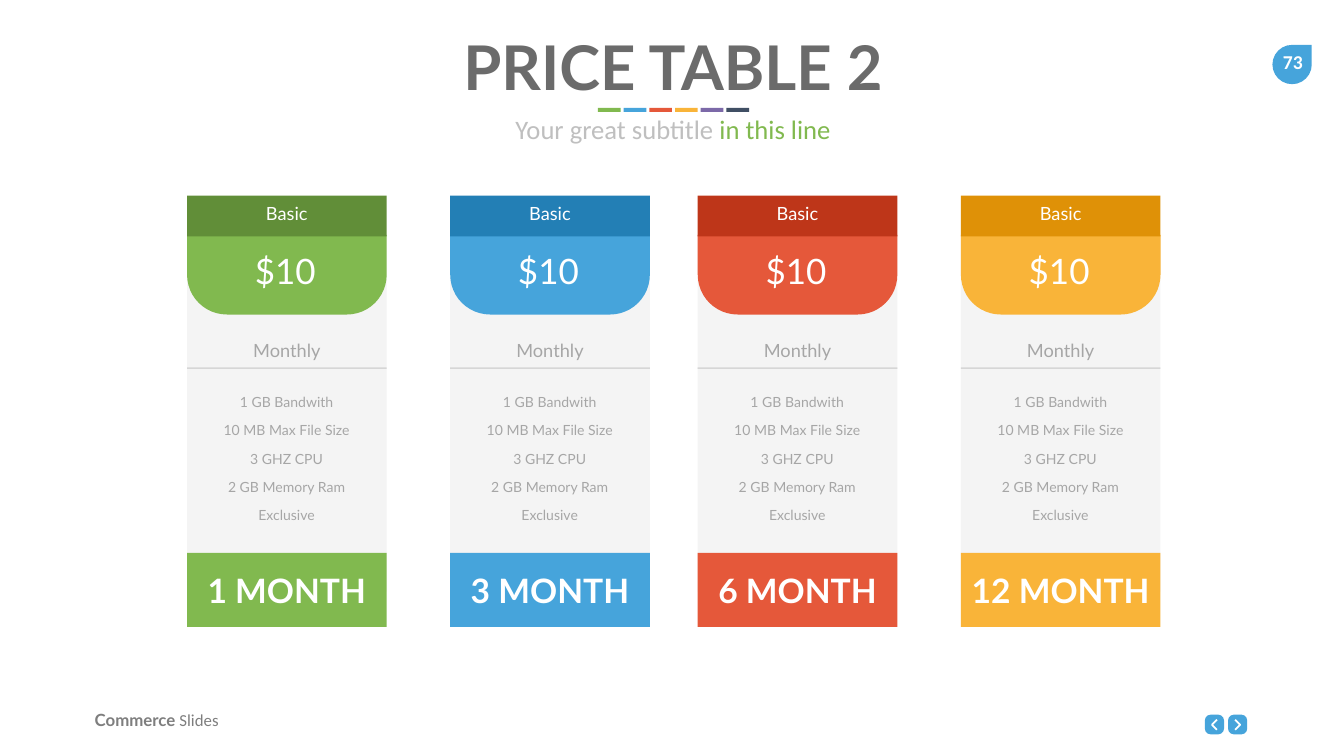
import pptx
import pptx.util
import pptx.dml.color
import pptx.enum.shapes
import pptx.enum.text
from dataclasses import dataclass

Inches = pptx.util.Inches
SHAPE = pptx.enum.shapes.MSO_SHAPE
ALIGN = pptx.enum.text.PP_ALIGN
ANCHOR = pptx.enum.text.MSO_ANCHOR


@dataclass(frozen=True)
class Theme:
    heading: str = "Lato"
    body: str = "Calibri"
    white: str = "FFFFFF"
    green: str = "81B94F"
    blue: str = "46A4DB"
    red: str = "E5583A"
    amber: str = "F9B439"
    purple: str = "7C69A8"
    navy: str = "404F64"
    dark_green: str = "618E38"
    dark_blue: str = "237FB5"
    dark_red: str = "BE3619"
    dark_amber: str = "DF9107"
    card: str = "F4F4F4"
    rule: str = "D6D6D6"
    title: str = "6B6B6B"
    subtitle: str = "BFBFBF"
    detail: str = "A6A6A6"
    footer: str = "7E7E7E"
    title_size: int = 88
    price_size: int = 50
    term_size: int = 48
    subtitle_size: int = 38
    page_size: int = 28
    label_size: int = 26
    footer_size: int = 24
    feature_size: int = 20


theme = Theme()
rgb = pptx.dml.color.RGBColor.from_string

deck = pptx.Presentation()
deck.slide_width, deck.slide_height = Inches(26.66), Inches(15)
slide = deck.slides.add_slide(deck.slide_layouts[5])  # title only


def add_block(kind, left, top, width, height, color):
    """Add a preset shape with a plain fill, no outline and no shadow."""
    block = slide.shapes.add_shape(
        kind, Inches(left), Inches(top), Inches(width), Inches(height))
    block.shadow.inherit = False
    block.fill.solid()
    block.fill.fore_color.rgb = rgb(color)
    block.line.fill.background()
    return block


def write(holder, text, size, color, font=theme.heading, bold=False,
          align=ALIGN.CENTER, anchor=ANCHOR.MIDDLE, inset=0.05):
    """Put one formatted paragraph into a shape; inset is left and right."""
    frame = holder.text_frame
    frame.word_wrap = True
    frame.vertical_anchor = anchor
    frame.margin_left = frame.margin_right = Inches(inset)
    frame.margin_top = frame.margin_bottom = Inches(0.05)
    paragraph = frame.paragraphs[0]
    paragraph.text = text
    paragraph.alignment = align
    paragraph.font.name = font
    paragraph.font.size = pptx.util.Pt(size)
    paragraph.font.bold = bold
    paragraph.font.color.rgb = rgb(color)
    return paragraph


# Heading
heading = slide.shapes.title
heading.left, heading.top = Inches(1.9), Inches(0.53)
heading.width, heading.height = Inches(22.9), Inches(1.58)
write(heading, "PRICE TABLE 2", theme.title_size, theme.title, bold=True,
      anchor=ANCHOR.TOP, inset=0.1)
heading.text_frame.auto_size = pptx.enum.text.MSO_AUTO_SIZE.NONE

stripe_colors = [theme.green, theme.blue, theme.red,
                 theme.amber, theme.purple, theme.navy]
for index, color in enumerate(stripe_colors):
    add_block(SHAPE.RECTANGLE, 11.86 + 0.51 * index, 2.14, 0.45, 0.08, color)

subtitle = slide.shapes.add_textbox(
    Inches(1.9), Inches(2.2), Inches(22.9), Inches(0.74))
line = write(subtitle, "Your great subtitle ", theme.subtitle_size,
             theme.subtitle, theme.body, anchor=ANCHOR.TOP, inset=0.1)
accent = line.add_run()
accent.text = "in this line"
accent.font.color.rgb = rgb(theme.green)

# Price cards
CARD_WIDTH = 3.96
plans = [
    (3.71, "1 MONTH", theme.green, theme.dark_green),
    (8.93, "3 MONTH", theme.blue, theme.dark_blue),
    (13.84, "6 MONTH", theme.red, theme.dark_red),
    (19.06, "12 MONTH", theme.amber, theme.dark_amber),
]
features = ["1 GB Bandwith", "10 MB Max File Size", "3 GHZ CPU",
            "2 GB Memory Ram", "Exclusive"]
# offset in card, top, width, height, text, size, color
card_lines = [
    (0.96, 3.96, 2.04, 0.56, "Basic", theme.label_size, theme.white),
    (0.93, 4.96, 2.04, 0.81, "$10", theme.price_size, theme.white),
    (0.96, 6.67, 2.04, 0.56, "Monthly", theme.label_size, theme.detail),
] + [
    (0.29, 7.7 + 0.56 * row, 3.37, 0.56, feature,
     theme.feature_size, theme.detail)
    for row, feature in enumerate(features)
]

for left, term, color, dark in plans:
    add_block(SHAPE.RECTANGLE, left, 4.67, CARD_WIDTH, 7.07, theme.card)
    price_tab = add_block(SHAPE.ROUND_2_SAME_RECTANGLE,
                          left, 4.66, CARD_WIDTH, 1.58, color)
    price_tab.rotation = 180
    price_tab.adjustments[0] = 0.5
    add_block(SHAPE.RECTANGLE, left, 3.88, CARD_WIDTH, 0.81, dark)
    add_block(SHAPE.RECTANGLE, left, 7.29, CARD_WIDTH, 0.03, theme.rule)
    term_bar = add_block(SHAPE.RECTANGLE, left, 10.97, CARD_WIDTH, 1.47, color)
    write(term_bar, term, theme.term_size, theme.white, bold=True)
    for offset, top, width, height, text, size, text_color in card_lines:
        label = slide.shapes.add_textbox(
            Inches(left + offset), Inches(top), Inches(width), Inches(height))
        write(label, text, size, text_color)

# Page number
add_block(SHAPE.TEAR, 25.24, 0.89, 0.78, 0.78, theme.blue)
page_number = slide.shapes.add_textbox(
    Inches(25.21), Inches(0.9), Inches(0.87), Inches(0.67))
write(page_number, "73", theme.page_size, theme.white, theme.body, bold=True,
      anchor=ANCHOR.TOP, inset=0.2)
page_number.text_frame.margin_top = Inches(0.1)
page_number.text_frame.margin_bottom = Inches(0.1)
page_number.text_frame.word_wrap = False

# Footer
footer = slide.shapes.add_textbox(
    Inches(1.78), Inches(14.04), Inches(4), Inches(0.5))
name = write(footer, "Commerce ", theme.footer_size, theme.footer, bold=True,
             align=ALIGN.LEFT, anchor=ANCHOR.TOP, inset=0.1)
suffix = name.add_run()
suffix.text = "Slides"
suffix.font.name = theme.body
suffix.font.bold = False

# Previous and next buttons
for left, direction in [(23.9, -1), (24.36, 1)]:
    button = add_block(SHAPE.ROUNDED_RECTANGLE, left, 14.18, 0.38, 0.39, theme.blue)
    button.adjustments[0] = 0.3
    middle = left + 0.19
    back, tip = middle - 0.05 * direction, middle + 0.05 * direction
    outline = slide.shapes.build_freeform(Inches(back), Inches(14.28))
    outline.add_line_segments(
        [(Inches(tip), Inches(14.38)), (Inches(back), Inches(14.48))], close=False)
    chevron = outline.convert_to_shape()
    chevron.shadow.inherit = False
    chevron.fill.background()
    chevron.line.color.rgb = rgb(theme.white)
    chevron.line.width = pptx.util.Pt(2.5)

deck.save("out.pptx")
